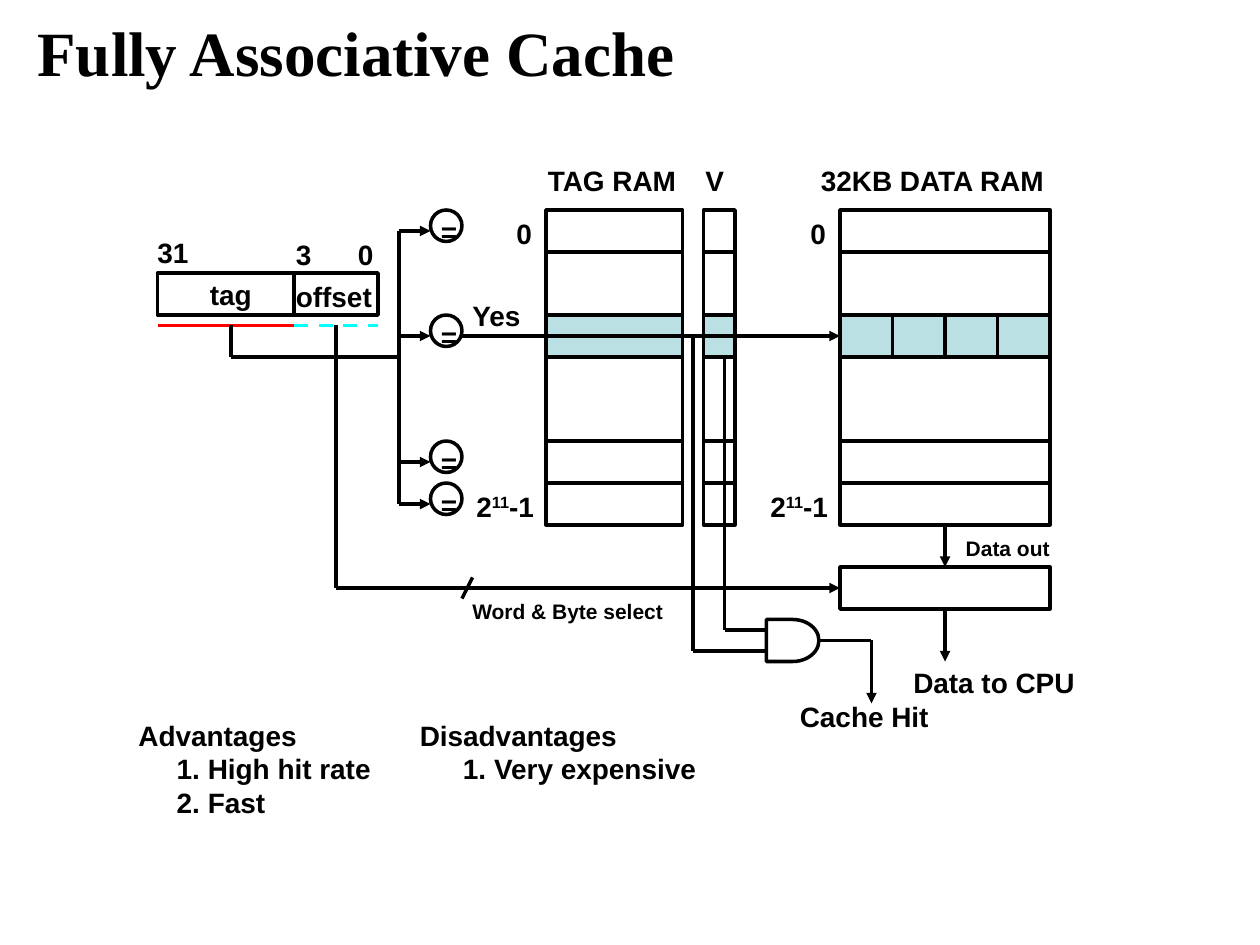
from itertools import pairwise

from lxml.etree import SubElement
from pptx import Presentation
from pptx.dml.color import RGBColor
from pptx.enum.dml import MSO_LINE
from pptx.enum.shapes import MSO_CONNECTOR, MSO_SHAPE
from pptx.enum.text import MSO_ANCHOR, MSO_AUTO_SIZE
from pptx.oxml.ns import qn
from pptx.util import Cm, Pt

COLORS = {"ink": "000000", "hit": "BBE0E3", "tag": "FF0000", "offset": "00FFFF"}
CELL = 2.54 / 12  # centimetres; the diagram sits on a grid of such cells
ARRAY_TOP, ARRAY_HEIGHT = 20, 30
HIT_TOP, ROW_HEIGHT = 30, 4
TAG_LEFT, VALID_LEFT, DATA_LEFT = 52, 67, 80
COMPARATOR_TOPS = (20, 30, 42, 46)


def grid(*cells):
    return [Cm(cell * CELL) for cell in cells]


def color(name):
    return RGBColor.from_string(COLORS[name])


class DiagramBuilder:
    """Draws on one slide; every position and size is in grid cells."""

    font_name = "Arial"
    line_width = Pt(2)

    def __init__(self, slide):
        self.slide = slide

    def box(self, left, top, width, height, fill=None, kind=MSO_SHAPE.RECTANGLE):
        shape = self.slide.shapes.add_shape(kind, *grid(left, top, width, height))
        shape.shadow.inherit = False
        if fill:
            shape.fill.solid()
            shape.fill.fore_color.rgb = color(fill)
        else:
            shape.fill.background()
        shape.line.color.rgb = color("ink")
        shape.line.width = self.line_width

    def wire(self, *points, arrow=False, stroke="ink", dash=None):
        """Join the points with straight lines; an arrowhead goes on the last."""
        for start, end in pairwise(points):
            line = self.slide.shapes.add_connector(
                MSO_CONNECTOR.STRAIGHT, *grid(*start, *end))
            line.line.color.rgb = color(stroke)
            line.line.width = self.line_width
            if dash:
                line.line.dash_style = dash
            properties = line._element.spPr
            SubElement(properties, qn("a:effectLst"))
            if arrow and end == points[-1]:
                SubElement(properties.find(qn("a:ln")), qn("a:tailEnd"), type="triangle")

    def text(self, left, top, width, text, height=4.4, size=16, font=None, wrap=False):
        """Add a text box; unless it wraps, it grows to hold its one line."""
        text_box = self.slide.shapes.add_textbox(*grid(left, top, width, height))
        frame = text_box.text_frame
        frame.word_wrap = wrap
        frame.auto_size = MSO_AUTO_SIZE.NONE if wrap else MSO_AUTO_SIZE.SHAPE_TO_FIT_TEXT
        frame.text = text
        self.style(frame.paragraphs[0], size, font)
        return frame

    def style(self, paragraph, size, font=None):
        paragraph.font.name = font or self.font_name
        paragraph.font.size = Pt(size)
        paragraph.font.bold = True
        paragraph.font.color.rgb = color("ink")

    def last_index(self, left, top):
        """Write the index of the last row, with its raised exponent."""
        paragraph = self.text(left, top, 7.9, "2").paragraphs[0]
        exponent = paragraph.add_run()
        exponent.text = "11"
        exponent._r.get_or_add_rPr().set("baseline", "30000")
        paragraph.add_run().text = "-1"

    def numbered_list(self, left, top, width, indent, heading, *items):
        """Write a heading over numbered items; the indent is in centimetres."""
        frame = self.text(left, top, width, heading, height=10.8, wrap=True)
        for item in items:
            paragraph = frame.add_paragraph()
            paragraph.text = item
            properties = paragraph._p.get_or_add_pPr()
            properties.set("marL", str(Cm(indent)))
            properties.set("indent", str(-Cm(0.63)))
            SubElement(properties, qn("a:buFont"), typeface=self.font_name)
            SubElement(properties, qn("a:buAutoNum"), type="arabicPeriod")
            self.style(paragraph, 16)

    def memory_array(self, left, width):
        self.box(left, ARRAY_TOP, width, ARRAY_HEIGHT)
        for y in (24, 42, 46):
            self.wire((left, y), (left + width, y))
        self.box(left, HIT_TOP, width, ROW_HEIGHT, fill="hit")


def draw_memory(builder):
    for left, width in ((TAG_LEFT, 13), (VALID_LEFT, 3), (DATA_LEFT, 20)):
        builder.memory_array(left, width)
    for x in (85, 90, 95):
        builder.wire((x, HIT_TOP), (x, HIT_TOP + ROW_HEIGHT))
    builder.text(51, 15, 14.8, "TAG RAM")
    builder.text(66, 15, 4.2, "V")
    builder.text(77, 15, 24.1, "32KB DATA RAM")
    for left in (TAG_LEFT, DATA_LEFT):
        builder.text(left - 4, 20, 3.9, "0")
        builder.last_index(left - 7.8, 46)


def draw_address(builder):
    builder.box(15, 26, 21, ROW_HEIGHT)
    builder.wire((28, 26), (28, 30))
    builder.text(13.8, 21.8, 5.6, "31")
    builder.text(27, 22, 3.9, "3")
    builder.text(32.9, 22, 3.9, "0")
    builder.text(18.8, 25.8, 6.4, "tag")
    builder.text(27, 26, 9.6, "offset")
    builder.wire((15, 31), (28, 31), stroke="tag")
    builder.wire((28, 31), (36, 31), stroke="offset", dash=MSO_LINE.DASH)


def draw_comparators(builder):
    builder.wire((22, 31), (22, 34), (38, 34))
    builder.wire((38, 22), (38, 48))
    for top in COMPARATOR_TOPS:
        builder.wire((38, top + 2), (41, top + 2), arrow=True)
        builder.text(40.8, top - 0.2, 4, "=")
        builder.box(41, top, 3, 3, kind=MSO_SHAPE.OVAL)
    builder.text(43.8, 27.8, 7.1, "Yes")
    builder.wire((44, 32), (DATA_LEFT, 32), arrow=True)


def draw_outputs(builder):
    builder.box(DATA_LEFT, 54, 20, ROW_HEIGHT)
    builder.wire((32, 31), (32, 56), (DATA_LEFT, 56), arrow=True)
    builder.wire((45, 55), (44, 57))
    builder.text(43.8, 56.4, 20.6, "Word & Byte select", height=3.6, size=12)
    builder.wire((90, 50), (90, 54), arrow=True)
    builder.text(90.8, 50.4, 10.6, "Data out", height=3.6, size=12)
    builder.wire((90, 58), (90, 63), arrow=True)
    builder.text(85.8, 62.8, 17.8, "Data to CPU")

    builder.box(73, 59, 5, ROW_HEIGHT, kind=MSO_SHAPE.FLOWCHART_DELAY)
    builder.wire((69, 34), (69, 60), (73, 60))
    builder.wire((66, 32), (66, 62), (73, 62))
    builder.wire((78, 61), (83, 61), (83, 67), arrow=True)
    builder.text(75, 66, 14.9, "Cache Hit")


def main():
    presentation = Presentation()
    presentation.slide_width, presentation.slide_height = Cm(25.4), Cm(19.05)
    slide = presentation.slides.add_slide(presentation.slide_layouts[6])
    builder = DiagramBuilder(slide)

    title = builder.text(2.4, 0.6, 103.9, "Fully Associative Cache", height=8.5,
                         size=36, font="Times New Roman", wrap=True)
    title.vertical_anchor = MSO_ANCHOR.MIDDLE

    draw_memory(builder)
    draw_address(builder)
    draw_comparators(builder)
    draw_outputs(builder)
    builder.numbered_list(12, 67.8, 26, 1.4, "Advantages", "High hit rate", "Fast")
    builder.numbered_list(38.8, 67.8, 30, 1.5, "Disadvantages", "Very expensive")
    presentation.save("out.pptx")


if __name__ == "__main__":
    main()
